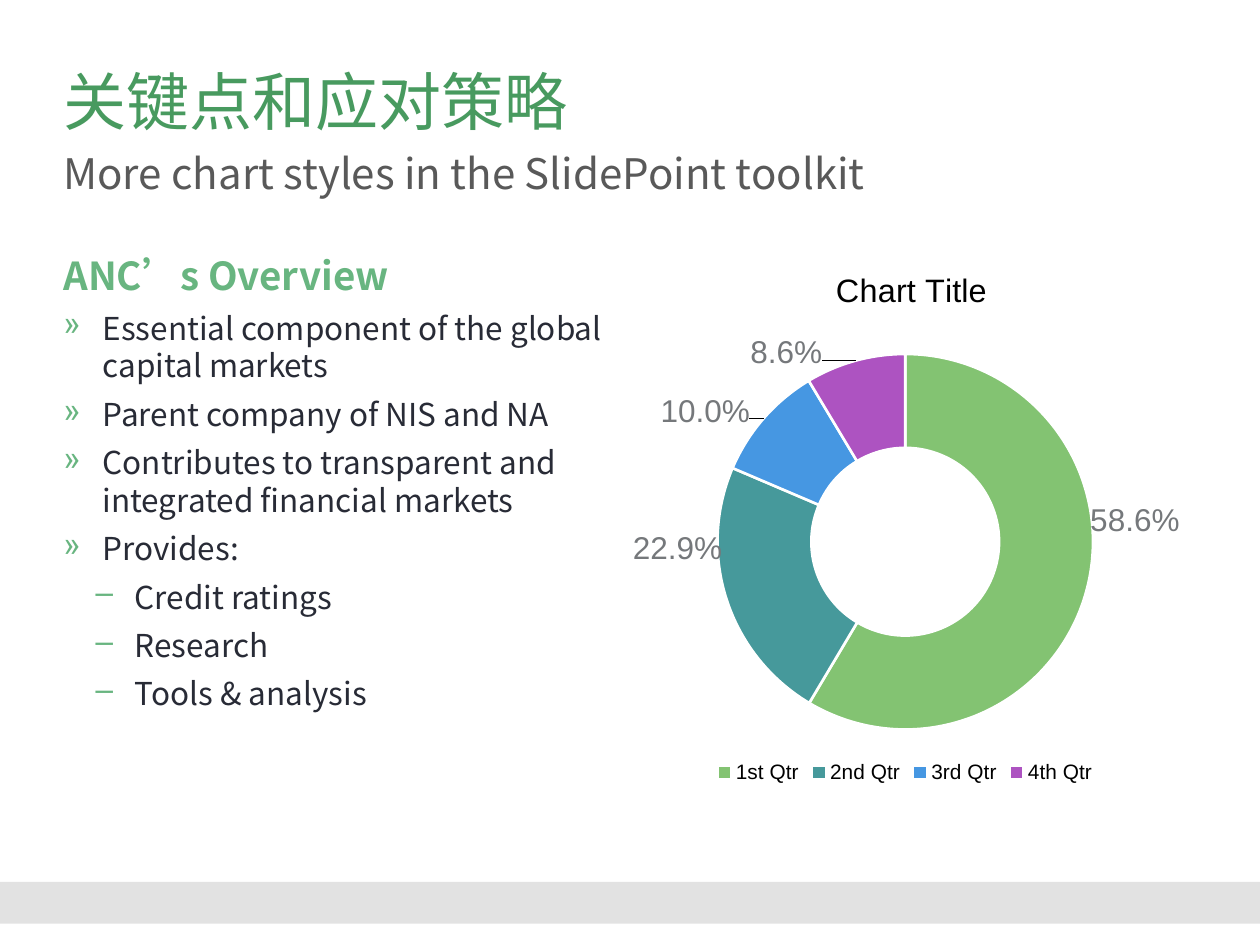
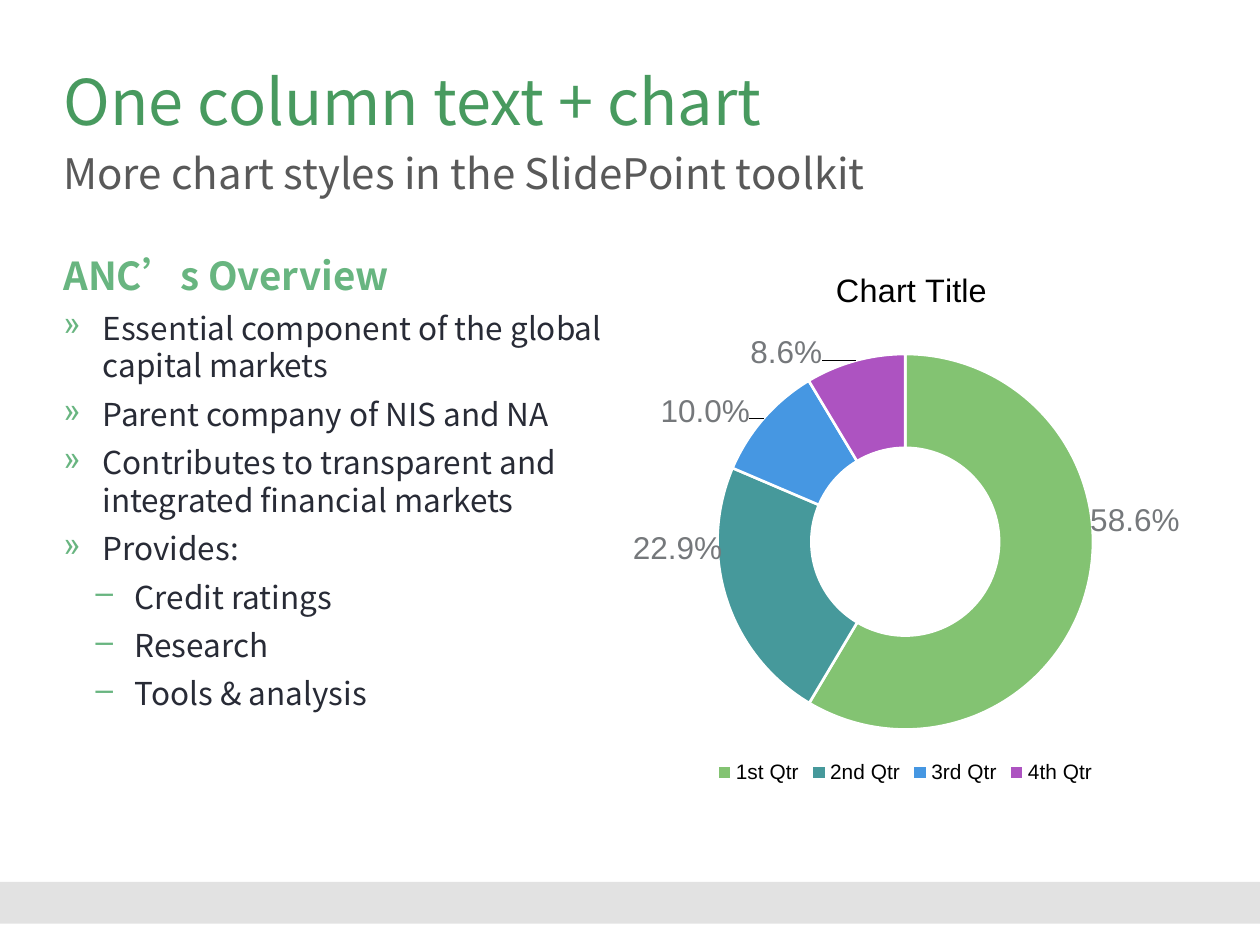
from lxml import etree
from pptx import Presentation
from pptx.chart.data import CategoryChartData
from pptx.dml.color import RGBColor
from pptx.enum.chart import XL_CHART_TYPE as ChartType, XL_LEGEND_POSITION as LegendPosition
from pptx.enum.shapes import MSO_SHAPE as Shape
from pptx.oxml import parse_xml
from pptx.oxml.ns import qn
from pptx.util import Cm, Pt

TITLES = ["关键点和应对策略", "One column text + chart"]
SUBTITLE = "More chart styles in the SlidePoint toolkit"
HEADING = "ANC’s Overview"
OVERVIEW = [  # (bullet level, text)
    (1, "Essential component of the global capital markets"),
    (1, "Parent company of NIS and NA"),
    (1, "Contributes to transparent and integrated financial markets"),
    (1, "Provides:"),
    (2, "Credit ratings"),
    (2, "Research"),
    (2, "Tools & analysis"),
]
CHART_TITLE = "Chart Title"
SERIES_NAME = "Series 1"
QUARTERS = [  # (name, share, colour, label shift as part of the chart's width and height)
    ("1st Qtr", 58.6, "83C372", (0.15, -0.11)),
    ("2nd Qtr", 22.9, "46999B", (-0.15, -0.07)),
    ("3rd Qtr", 10, "4697E2", (-0.15, -0.07)),
    ("4th Qtr", 8.6, "AD53C1", (-0.13, -0.1)),
]

TEXT_FONT, CHART_FONT = "Noto Sans CJK SC", "Arial"
TITLE_GREEN, ACCENT_GREEN = "489A5F", "68B580"
SUBTITLE_GREY, BODY_INK, BAND_GREY, LABEL_GREY = "595959", "282B36", "E2E2E2", "75787B"
BLACK, WHITE = "000000", "FFFFFF"
SHARE_FORMAT = '0.0"%"'

SLIDE_WIDTH, SLIDE_HEIGHT = Cm(25.4), Cm(19.05)
BAND_BOX = (0, Cm(17.78), SLIDE_WIDTH, Cm(0.84))
TITLE_BOX = (Cm(1.28), Cm(1.27), Cm(22.8), Cm(1.55))
SUBTITLE_BOX = (Cm(1.28), Cm(2.97), Cm(22.86), Cm(1.22))
OVERVIEW_BOX = (Cm(1.28), Cm(5.08), Cm(11.05), Cm(11.94))
CHART_BOX = (Cm(11.94), Cm(5.08), Cm(12.62), Cm(10.82))
RING_AREA = {"x": 0.2, "y": 0.19, "w": 0.6, "h": 0.7}
CHART_TITLE_PLACE = {"x": 0.38, "y": 0.02}
HOLE_SIZE = 75

BULLETS = {  # level: (character, left margin, hanging indent)
    1: ("»", Cm(0.79), Cm(0.79)),
    2: ("–", Cm(1.44), Cm(0.79)),
}


def rgb(colour):
    return RGBColor.from_string(colour)


def style_font(font, name, size, colour, bold=False):
    font.name, font.size, font.bold = name, Pt(size), bold
    font.color.rgb = rgb(colour)


def style_paragraph(paragraph, size, colour, bold=False, before=0):
    paragraph.space_before = Pt(before)
    for run in paragraph.runs:
        style_font(run.font, TEXT_FONT, size, colour, bold)
        latin = run.font._element.find(qn("a:latin"))
        latin.addnext(etree.Element(qn("a:ea"), typeface=TEXT_FONT))


def add_bullet(paragraph, level):
    character, margin, hanging = BULLETS[level]
    properties = paragraph._p.get_or_add_pPr()
    properties.set("marL", str(margin))
    properties.set("indent", str(-hanging))
    colour = etree.SubElement(properties, qn("a:buClr"))
    etree.SubElement(colour, qn("a:srgbClr"), val=ACCENT_GREEN)
    etree.SubElement(properties, qn("a:buChar"), char=character)


def add_text(slide, box, text):
    """Add a wrapping text box without margins and return its frame."""
    frame = slide.shapes.add_textbox(*box).text_frame
    frame.word_wrap = True
    frame.margin_left = frame.margin_right = frame.margin_top = frame.margin_bottom = 0
    frame.text = text
    return frame


def add_band(slide):
    band = slide.shapes.add_shape(Shape.RECTANGLE, *BAND_BOX)
    band.shadow.inherit = False
    band.fill.solid()
    band.fill.fore_color.rgb = rgb(BAND_GREY)
    band.line.fill.background()


def add_overview(slide):
    frame = add_text(slide, OVERVIEW_BOX, HEADING)
    style_paragraph(frame.paragraphs[0], 22, ACCENT_GREEN, bold=True, before=12)
    for level, text in OVERVIEW:
        item = frame.add_paragraph()
        item.text = text
        item.level = level
        style_paragraph(item, 18, BODY_INK, before=6)
        add_bullet(item, level)


def manual_layout(**values):
    """Return a c:layout element for a plot area, a title or a label."""
    layout = parse_xml(
        '<c:layout xmlns:c="http://schemas.openxmlformats.org/drawingml/2006/chart">'
        "<c:manualLayout/></c:layout>")
    for tag, value in values.items():
        etree.SubElement(layout[0], qn(f"c:{tag}"), val=str(value))
    return layout


def drop_layout(element):
    for layout in element.findall(qn("c:layout")):
        element.remove(layout)


def place_ring(chart):
    plot_area = chart._chartSpace.find(".//" + qn("c:plotArea"))
    drop_layout(plot_area)
    plot_area.insert(0, manual_layout(
        layoutTarget="inner", xMode="edge", yMode="edge", **RING_AREA))
    plot_area.find(".//" + qn("c:holeSize")).set("val", str(HOLE_SIZE))


def add_chart_title(chart):
    chart.has_title = True
    frame = chart.chart_title.text_frame
    frame.text = CHART_TITLE
    style_font(frame.paragraphs[0].runs[0].font, CHART_FONT, 18.5, BLACK)
    title = chart.chart_title._element
    drop_layout(title)
    title.find(qn("c:tx")).addnext(manual_layout(
        xMode="edge", yMode="edge", **CHART_TITLE_PLACE))


def style_quarter(point, colour):
    point.format.fill.solid()
    point.format.fill.fore_color.rgb = rgb(colour)
    point.format.line.color.rgb = rgb(WHITE)
    point.format.line.width = Pt(1.5)
    style_font(point.data_label.font, CHART_FONT, 18, LABEL_GREY)


def place_label(label, shift):
    layout = manual_layout(x=shift[0], y=shift[1])
    label.find(qn("c:idx")).addnext(layout)
    layout.addnext(etree.Element(qn("c:numFmt"), formatCode=SHARE_FORMAT, sourceLinked="0"))


def add_quarter_chart(slide):
    names, shares, colours, shifts = zip(*QUARTERS)
    data = CategoryChartData()
    data.categories = names
    data.add_series(SERIES_NAME, shares)
    chart = slide.shapes.add_chart(ChartType.DOUGHNUT, *CHART_BOX, data).chart
    style_font(chart.font, CHART_FONT, 10, BLACK)
    add_chart_title(chart)

    chart.has_legend = True
    chart.legend.position = LegendPosition.BOTTOM
    chart.legend.include_in_layout = False
    style_font(chart.legend.font, CHART_FONT, 11.9, BLACK)

    plot = chart.plots[0]
    plot.vary_by_categories = True
    series = plot.series[0]
    labels = series.data_labels
    labels.show_value = True
    labels.number_format = SHARE_FORMAT
    labels.number_format_is_linked = False
    style_font(labels.font, CHART_FONT, 18, LABEL_GREY)
    for index, colour in enumerate(colours):
        style_quarter(series.points[index], colour)
    for label, shift in zip(labels._element.findall(qn("c:dLbl")), shifts):
        place_label(label, shift)
    place_ring(chart)


def build_slide(deck, title):
    slide = deck.slides.add_slide(deck.slide_layouts[6])
    add_band(slide)
    style_paragraph(add_text(slide, TITLE_BOX, title).paragraphs[0], 36, TITLE_GREEN)
    style_paragraph(add_text(slide, SUBTITLE_BOX, SUBTITLE).paragraphs[0], 24, SUBTITLE_GREY)
    add_overview(slide)
    add_quarter_chart(slide)


def main():
    deck = Presentation()
    deck.slide_width, deck.slide_height = SLIDE_WIDTH, SLIDE_HEIGHT
    for title in TITLES:
        build_slide(deck, title)
    deck.save("out.pptx")


if __name__ == "__main__":
    main()
